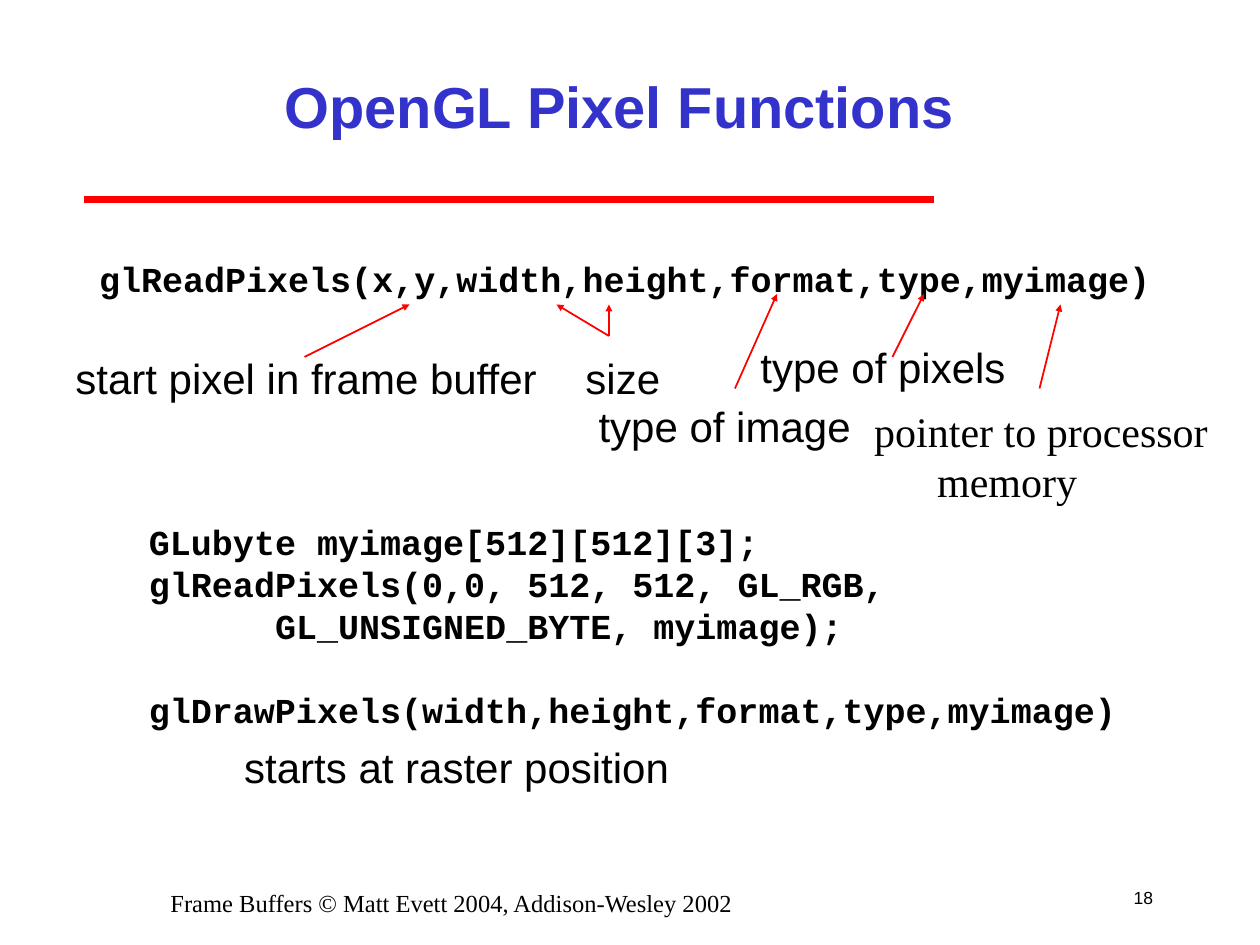
from pptx import Presentation
from pptx.dml.color import RGBColor
from pptx.enum import shapes, text
from pptx.oxml import xmlchemy as xml
from pptx.util import Pt

BLACK, BLUE, RED = "000000", "3333CC", "FF0000"
SANS, SERIF, MONO = "Arial", "Times New Roman", "Courier New"

# Content: left, top, width, height in points, then the lines
TITLE = "OpenGL Pixel Functions"
CODE = [
    (49.5, 143.5, 616, 31.5, ["glReadPixels(x,y,width,height,format,type,myimage)"]),
    (78, 294, 447, 79, ["GLubyte myimage[512][512][3];",
                        "glReadPixels(0,0, 512, 512, GL_RGB,",
                        "      GL_UNSIGNED_BYTE, myimage);"]),
    (78, 390, 567.5, 31.5, ["glDrawPixels(width,height,format,type,myimage)"]),
]
LABELS = [
    (36, 198, 279, 36, ["start pixel in frame buffer"]),
    (327.5, 198, 58, 36, ["size"]),
    (335, 225.5, 160, 36, ["type of image"]),
    (427.5, 191.5, 158, 36, ["type of pixels"]),
    (132.5, 420, 258, 36, ["starts at raster position"]),
]
POINTER = (492.5, 228, 211, 65, ["pointer to processor", "memory"])
FOOTER = (36, 504, 444, 18, ["Frame Buffers © Matt Evett 2004, Addison-Wesley 2002"])
NUMBER = (636, 498, 30, 30, ["18"])
RULE = (48, 114, 534, 114)
ARROWS = [  # from label to argument
    (174, 204, 234, 174),
    (348, 192, 348, 174),
    (348, 192, 318, 174),
    (420, 222, 444, 168),
    (510, 204, 528, 168),
    (594, 222, 606, 174),
]


def color(code):
    return RGBColor.from_string(code)


def style(frame, font, size, ink=BLACK, bold=False, align=text.PP_ALIGN.LEFT):
    for para in frame.paragraphs:
        para.alignment = align
        for span in para.runs:
            span.font.name = font
            span.font.size = Pt(size)
            span.font.bold = bold
            span.font.color.rgb = color(ink)


def add_text(page, item, font, size, **options):
    *place, lines = item
    box = page.shapes.add_textbox(*map(Pt, place))
    box.text_frame.text = "\n".join(lines)
    box.text_frame.word_wrap = False
    style(box.text_frame, font, size, **options)
    return box


def add_line(page, ends, width, arrow=False):
    line = page.shapes.add_connector(shapes.MSO_CONNECTOR.STRAIGHT, *map(Pt, ends))
    line.line.color.rgb = color(RED)
    line.line.width = Pt(width)
    if arrow:
        head = xml.OxmlElement("a:tailEnd")
        for key, value in (("type", "triangle"), ("w", "sm"), ("len", "sm")):
            head.set(key, value)
        line.line._get_or_add_ln().append(head)
    line._element.spPr.append(xml.OxmlElement("a:effectLst"))


def main():
    deck = Presentation()
    deck.slide_width, deck.slide_height = Pt(720), Pt(540)
    page = deck.slides.add_slide(deck.slide_layouts[5])

    # Title and rule
    title = page.shapes.title
    title.left, title.top, title.width, title.height = map(Pt, (108, 18, 492, 84))
    title.text_frame.text = TITLE
    title.text_frame.auto_size = text.MSO_AUTO_SIZE.NONE
    title.text_frame.vertical_anchor = text.MSO_ANCHOR.MIDDLE
    style(title.text_frame, SANS, 33, ink=BLUE, bold=True, align=text.PP_ALIGN.CENTER)
    add_line(page, RULE, 4)

    # Code and its explanations
    for item in CODE:
        add_text(page, item, MONO, 20, bold=True)
    for item in LABELS:
        add_text(page, item, SANS, 24)
    pointer = add_text(page, POINTER, SERIF, 24)
    pointer.text_frame.paragraphs[1]._p.get_or_add_pPr().set("marL", str(Pt(36)))
    for ends in ARROWS:
        add_line(page, ends, 1, arrow=True)

    # Footer and slide number
    add_text(page, FOOTER, SERIF, 14, align=text.PP_ALIGN.CENTER)
    number = add_text(page, NUMBER, SANS, 10, align=text.PP_ALIGN.RIGHT)
    number.text_frame.vertical_anchor = text.MSO_ANCHOR.MIDDLE

    deck.save("out.pptx")


if __name__ == "__main__":
    main()
